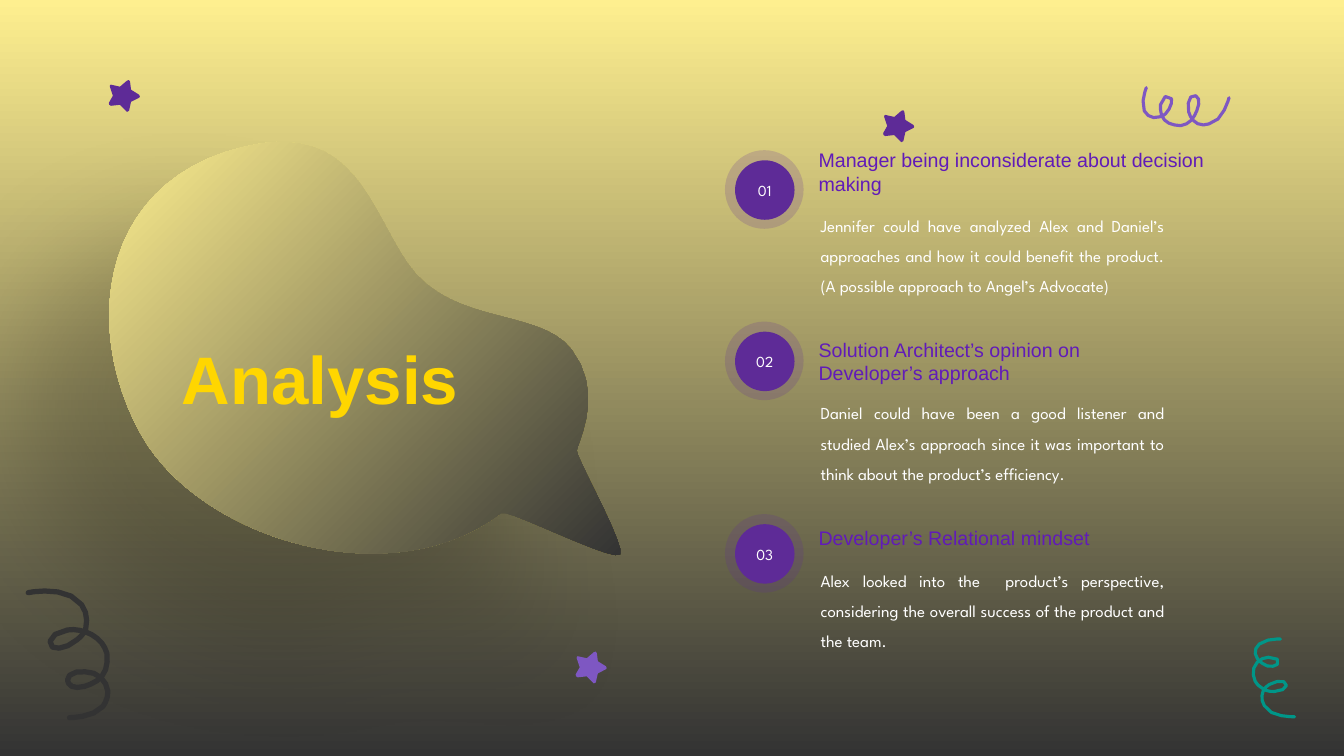
from math import dist

from pptx import Presentation
from pptx.dml.color import RGBColor
from pptx.enum.shapes import MSO_SHAPE
from pptx.enum.text import MSO_ANCHOR, MSO_AUTO_SIZE, PP_ALIGN
from pptx.oxml import parse_xml
from pptx.oxml.ns import nsdecls, qn
from pptx.util import Pt

PX = 9144  # EMU in one px, 100 px to the inch
THEME = {
    "cream": "FEEF8F", "charcoal": "333333", "purple": "5E2B97", "violet": "7E57C2",
    "teal": "009688", "heading": "611BB8", "gold": "FFD600", "white": "FFFFFF",
    "font": "Arial", "body_font": "League Spartan",
    "title_pt": 48, "heading_pt": 14, "body_pt": 12, "number_pt": 11,
}

# Outlines: a start point, then (x, y) lines or (x1, y1, x2, y2, x, y) Bézier curves.
BUBBLE = [
    (283, 141), (355, 143, 371, 212, 404, 261), (447, 324, 535, 305, 567, 347),
    (600, 390, 573, 439, 572, 447), (571, 453, 621, 542, 615, 550),
    (608, 558, 503, 504, 497, 509), (388, 593, 198, 535, 140, 431),
    (84, 331, 97, 193, 223, 151), (246, 144, 266, 140, 283, 141),
]
STAR = [
    (18, 32), (17, 31), (11, 25), (2, 26), (0, 26, 0, 24, 0, 23), (4, 16),
    (1, 7), (1, 6, 1, 5, 2, 5), (11, 7), (18, 1), (19, 0, 21, 0, 21, 2),
    (22, 10), (30, 15), (31, 16, 31, 18, 30, 18), (22, 22), (20, 31),
]
DARK_CURL = [
    (28, 588), (32, 587, 67, 581, 81, 600), (86, 607, 87, 615, 85, 624),
    (83, 629, 80, 632, 76, 635), (68, 642, 57, 645, 52, 642),
    (46, 638, 51, 627, 67, 625), (73, 624, 79, 625, 85, 627),
    (91, 629, 97, 633, 101, 638), (103, 641, 105, 644, 106, 648),
    (107, 657, 106, 665, 101, 671), (97, 676, 90, 679, 84, 681),
    (76, 683, 70, 682, 68, 678), (66, 677, 67, 673, 69, 670),
    (74, 665, 85, 666, 93, 668), (101, 671, 106, 678, 107, 686),
    (107, 692, 105, 697, 102, 701), (92, 712, 70, 712, 69, 712),
]
TEAL_CURL = [
    (1270, 634), (1270, 634, 1256, 633, 1249, 639), (1244, 643, 1244, 649, 1247, 653),
    (1248, 655, 1250, 657, 1252, 658), (1256, 662, 1264, 662, 1267, 659),
    (1271, 655, 1266, 652, 1258, 652), (1254, 652, 1250, 654, 1247, 657),
    (1242, 662, 1242, 670, 1245, 676), (1247, 680, 1252, 683, 1256, 685),
    (1259, 686, 1261, 686, 1264, 686), (1270, 686, 1276, 683, 1276, 680),
    (1276, 674, 1266, 675, 1259, 679), (1257, 680, 1254, 683, 1253, 685),
    (1251, 690, 1251, 695, 1254, 700), (1260, 712, 1283, 711, 1284, 711),
]
VIOLET_CURL = [
    (1137, 87), (1137, 87, 1131, 101, 1135, 110), (1138, 116, 1144, 118, 1150, 116),
    (1152, 116, 1154, 115, 1156, 113), (1160, 109, 1163, 102, 1162, 98),
    (1159, 91, 1152, 97, 1151, 104), (1151, 107, 1151, 111, 1152, 114),
    (1154, 120, 1159, 123, 1165, 124), (1171, 126, 1177, 124, 1182, 119),
    (1184, 116, 1186, 113, 1187, 110), (1190, 103, 1190, 97, 1186, 95),
    (1180, 93, 1177, 102, 1179, 111), (1180, 114, 1181, 117, 1183, 119),
    (1187, 124, 1194, 125, 1199, 123), (1213, 121, 1219, 97, 1219, 97),
]
# ring top, heading top, heading width, body top, heading, body
FINDINGS = [
    (149, 142, 415, 199, "Manager being inconsiderate about decision making",
     "Jennifer could have analyzed Alex and Daniel’s approaches and how it could benefit "
     "the product. (A possible approach to Angel’s Advocate)"),
    (319, 330, 361, 385, "Solution Architect’s opinion on Developer’s approach",
     "Daniel could have been a good listener and studied Alex’s approach since it was "
     "important to think about the product’s efficiency."),
    (510, 517, 336, 551, "Developer’s Relational mindset",
     "Alex looked into the  product’s perspective, considering the overall success of "
     "the product and the team."),
]


def add_outline(shapes, outline, dx=0, dy=0, close=True):
    """Draw lines and Bézier curves, sampled by length, as one freeform without a shadow."""
    pts = [outline[0]]
    for seg in outline[1:]:
        if len(seg) == 2:
            pts.append(seg)
            continue
        x0, y0 = pts[-1]
        x1, y1, x2, y2, x3, y3 = seg
        steps = 2 + int(dist((x0, y0), (x3, y3)) / 14)
        for i in range(1, steps + 1):
            t = i / steps
            a, b, c, d = (1 - t) ** 3, 3 * t * (1 - t) ** 2, 3 * t * t * (1 - t), t ** 3
            pts.append((a * x0 + b * x1 + c * x2 + d * x3, a * y0 + b * y1 + c * y2 + d * y3))
    emu = [((x + dx) * PX, (y + dy) * PX) for x, y in pts]
    builder = shapes.build_freeform(*emu[0], scale=1.0)
    builder.add_line_segments(emu[1:], close=close)
    sp = builder.convert_to_shape()
    sp.line.fill.background()
    sp.shadow.inherit = False
    return sp


def write(sp, text, font, size, color, align=PP_ALIGN.LEFT):
    tf = sp.text_frame
    tf.text = text
    tf.word_wrap = True
    p = tf.paragraphs[0]
    p.alignment = align
    r = p.runs[0]
    r.font.name = THEME[font]
    r.font.size = Pt(THEME[size])
    r.font.color.rgb = RGBColor.from_string(THEME[color])
    return tf


prs = Presentation()
prs.slide_width, prs.slide_height = 1333 * PX, 750 * PX
s = prs.slides.add_slide(prs.slide_layouts[5])

# Background and speech bubble share one gradient
bubble = add_outline(s.shapes, BUBBLE)
for fill, angle in ((s.background.fill, 270), (bubble.fill, 315)):
    fill.gradient()
    fill.gradient_angle = angle
    for stop, position, color in zip(fill.gradient_stops, (0, 1), ("cream", "charcoal")):
        stop.position = position
        stop.color.rgb = RGBColor.from_string(THEME[color])
bubble.element.spPr.find(qn("a:effectLst")).append(parse_xml(
    f'<a:outerShdw {nsdecls("a")} blurRad="{Pt(84)}" dist="{Pt(87)}" dir="8100000" '
    'algn="tr" rotWithShape="0"><a:srgbClr val="000000"><a:alpha val="20000"/>'
    '</a:srgbClr></a:outerShdw>'))

# Decorations
for x, y, color in ((571, 646, "violet"), (108, 79, "purple"), (876, 109, "purple")):
    star = add_outline(s.shapes, STAR, x, y)
    star.fill.solid()
    star.fill.fore_color.rgb = RGBColor.from_string(THEME[color])
for outline, color, width in ((DARK_CURL, "charcoal", 3.75), (TEAL_CURL, "teal", 2.25),
                              (VIOLET_CURL, "violet", 2.25)):
    curl = add_outline(s.shapes, outline, close=False)
    curl.fill.background()
    curl.line.color.rgb = RGBColor.from_string(THEME[color])
    curl.line.width = Pt(width)
    ln = curl.element.spPr.find(qn("a:ln"))
    ln.set("cap", "rnd")
    ln.append(parse_xml(f'<a:round {nsdecls("a")}/>'))

# Title, brought in front of the bubble
title = s.shapes.title
title.left, title.top, title.width, title.height = 75 * PX, 330 * PX, 485 * PX, 91 * PX
tf = write(title, "Analysis", "font", "title_pt", "gold", PP_ALIGN.CENTER)
tf.vertical_anchor = MSO_ANCHOR.TOP
tf.auto_size = MSO_AUTO_SIZE.NONE
tf.paragraphs[0].runs[0].font.bold = True
title.element.getparent().append(title.element)

# Numbered findings
for number, (ring_y, head_y, head_w, body_y, heading, body) in enumerate(FINDINGS, 1):
    badge = s.shapes.add_group_shape()
    for inset, size in ((0, 78), (10, 59)):
        disc = badge.shapes.add_shape(MSO_SHAPE.OVAL, (719 + inset) * PX,
                                      (ring_y + inset) * PX, size * PX, size * PX)
        disc.fill.solid()
        disc.fill.fore_color.rgb = RGBColor.from_string(THEME["purple"])
        disc.line.fill.background()
        disc.shadow.inherit = False
        if inset == 0:
            disc.element.spPr.find(qn("a:solidFill"))[0].append(
                parse_xml(f'<a:alpha {nsdecls("a")} val="20000"/>'))
    tf = write(disc, f"{number:02}", "body_font", "number_pt", "white", PP_ALIGN.CENTER)
    tf.vertical_anchor = MSO_ANCHOR.MIDDLE

    box = s.shapes.add_textbox(802 * PX, head_y * PX, head_w * PX, 57 * PX)
    write(box, heading, "font", "heading_pt", "heading")
    box = s.shapes.add_textbox(804 * PX, body_y * PX, 361 * PX, 91 * PX)
    tf = write(box, body, "body_font", "body_pt", "white", PP_ALIGN.JUSTIFY)
    tf.paragraphs[0].line_spacing = 1.5

prs.save("out.pptx")
